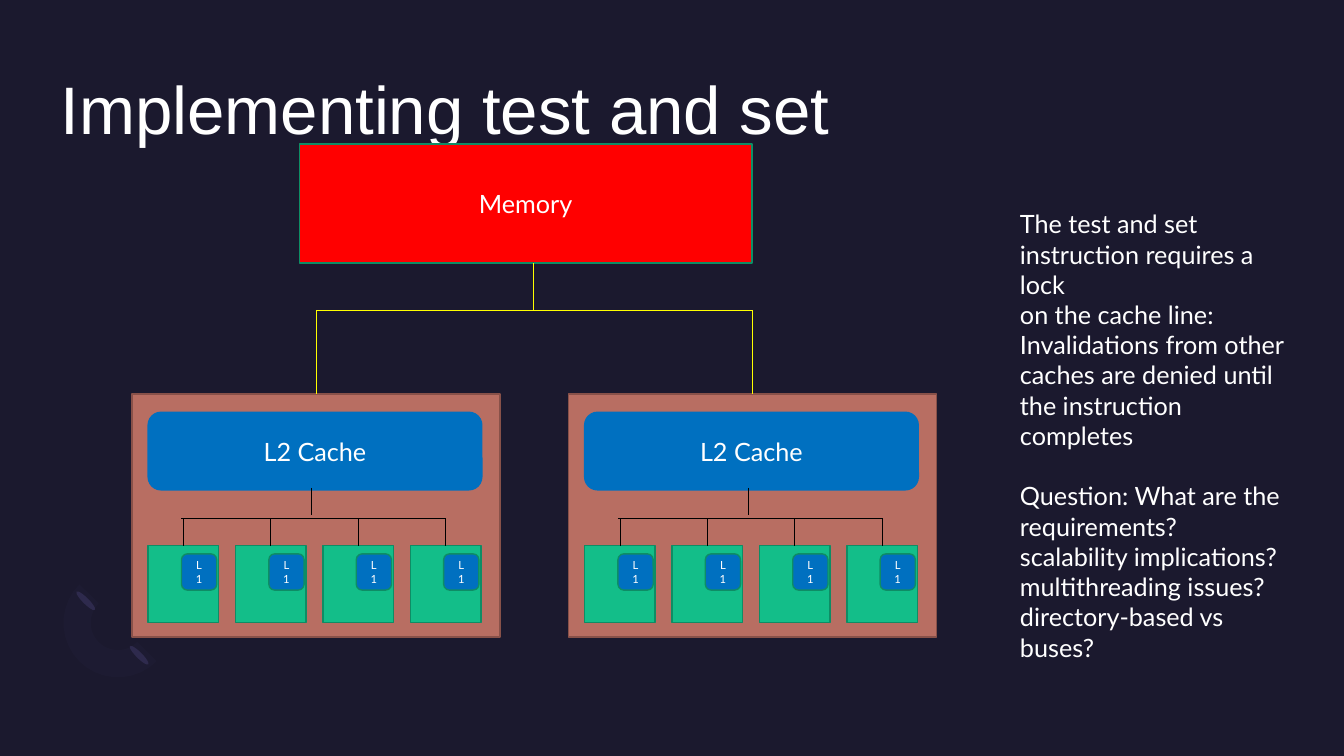
import math

from lxml import etree
from pptx import Presentation
from pptx import util as u
from pptx.dml.color import RGBColor
from pptx.enum import shapes, text
from pptx.oxml import ns

COLORS = {
    "night": "1B192E", "white": "FFFFFF", "black": "000000", "yellow": "FFFF00",
    "memory": "FF0000", "chip": "B86E62", "chip_edge": "885149", "cache": "0070C0",
    "core": "13BE89", "core_edge": "0E8D65", "dash": "2C284A", "arc": "7771B2",
}
COLS, ROWS = 133.33, 75
QUESTION = "Question: What are the"
NOTES = [
    "The test and set",
    "instruction requires a lock",
    "on the cache line:",
    "Invalidations from other",
    "caches are denied until",
    "the instruction completes",
    QUESTION,
    "requirements?",
    "scalability implications?",
    "multithreading issues?",
    "directory-based vs buses?",
]


def color(name):
    return RGBColor.from_string(COLORS[name])


class Board:
    def __init__(self, deck):
        self.cell_w = deck.slide_width / COLS
        self.cell_h = deck.slide_height / ROWS
        self.slide = deck.slides.add_slide(deck.slide_layouts[6])
        self.slide.background.fill.solid()
        self.slide.background.fill.fore_color.rgb = color("night")

    def at(self, col, row):
        return round(col * self.cell_w), round(row * self.cell_h)

    def letter(self, frame, lines, size, font="Lato", align=None):
        frame.word_wrap = True
        frame.text = "\n".join(lines)
        for paragraph in frame.paragraphs:
            paragraph.alignment = align
            for run in paragraph.runs:
                run.font.size = u.Pt(size)
                run.font.name = font
                run.font.color.rgb = color("white")

    def paint(self, shape, fill, edge=None):
        shape.shadow.inherit = False
        shape.fill.solid()
        shape.fill.fore_color.rgb = color(fill)
        if edge:
            shape.line.color.rgb = color(edge)
            shape.line.width = u.Pt(1)
        else:
            shape.line.fill.background()

    def box(self, col, row, cols, rows, fill, edge=None, label=None, size=18, kind="RECTANGLE"):
        shape = self.slide.shapes.add_shape(
            shapes.MSO_SHAPE[kind], *self.at(col, row), *self.at(cols, rows))
        self.paint(shape, fill, edge)
        if label:
            shape.text_frame.vertical_anchor = text.MSO_ANCHOR.MIDDLE
            self.letter(shape.text_frame, [label], size, align=text.PP_ALIGN.CENTER)
        return shape

    def text(self, col, row, cols, rows, lines, size, font="Lato", inset=True):
        frame = self.slide.shapes.add_textbox(
            *self.at(col, row), *self.at(cols, rows)).text_frame
        if not inset:
            frame.margin_left = frame.margin_right = frame.margin_top = frame.margin_bottom = 0
        self.letter(frame, lines, size, font)
        return frame

    def wire(self, start, end, ink, target=None):
        line = self.slide.shapes.add_connector(
            shapes.MSO_CONNECTOR.STRAIGHT, *self.at(*start), *self.at(*end))
        line.line.color.rgb = color(ink)
        line.line.width = u.Pt(0.5)
        etree.SubElement(line._element.spPr, ns.qn("a:effectLst"))
        if target is not None:
            line.end_connect(target, 0)

    def half_ring(self, col, row, inner, outer, fill, opacity):
        angles = [math.radians(45 + 10 * step) for step in range(19)]
        rim = [(outer, a) for a in angles] + [(inner, a) for a in reversed(angles)]
        points = [self.at(col + r * math.cos(a), row + r * math.sin(a)) for r, a in rim]
        builder = self.slide.shapes.build_freeform(*points[0])
        builder.add_line_segments(points[1:], close=True)
        ring = builder.convert_to_shape()
        self.paint(ring, fill)
        tint = ring._element.spPr.find(ns.qn("a:solidFill"))[0]
        etree.SubElement(tint, ns.qn("a:alpha"), val=str(opacity * 1000))

    def chip(self, left):
        package = self.box(left, 39.1, 36.5, 24.1, "chip", "chip_edge")
        inner = left + 1.6
        self.box(inner, 40.9, 33.1, 7.7, "cache", "cache", "L2 Cache", kind="ROUNDED_RECTANGLE")
        cores = []
        for index in range(4):
            core_left = inner + index * 8.67
            cores.append((core_left + 3.5, self.box(core_left, 54.15, 7, 7.6, "core", "core_edge")))
            self.box(core_left + 3.3, 54.95, 3.5, 3.6, "cache", "core_edge", "L1", 8,
                     "ROUNDED_RECTANGLE")
        self.wire((left + 4.9, 51.4), (left + 31.1, 51.4), "black")
        for middle, core in cores:
            self.wire((middle, 51.4), (middle, 54.15), "black", core)
        self.wire((left + 17.8, 48.4), (left + 17.8, 51.1), "black")
        return package


def main():
    deck = Presentation()
    deck.slide_width, deck.slide_height = u.Inches(13.33), u.Inches(7.5)
    board = Board(deck)

    for col, row in [(13.5, 63.7), (8.2, 58.3)]:
        board.box(col, row, 0.6, 2.6, "dash", kind="OVAL").rotation = 135
    board.half_ring(11.7, 61.8, 2.7, 5.4, "arc", 3)

    board.text(6, 6.7, 121.3, 14.6, ["Implementing test and set"], 48, "Arial", inset=False)

    lefts = [13.1, 56.4]
    middles = [left + 18.25 for left in lefts]
    chips = [board.chip(left) for left in lefts]
    board.wire((middles[0], 30.8), (middles[1], 30.8), "yellow")
    for middle, chip in zip(middles, chips):
        board.wire((middle, 30.8), (middle, 39.1), "yellow", chip)
    board.box(29.7, 14.3, 44.9, 11.8, "memory", "core_edge", "Memory")
    board.wire((52.9, 26.1), (52.9, 30.8), "yellow")

    notes = board.text(100.2, 20.2, 29.5, 49.5, NOTES, 18)
    notes.paragraphs[NOTES.index(QUESTION)].space_before = u.Pt(21.6)

    deck.save("out.pptx")


if __name__ == "__main__":
    main()
